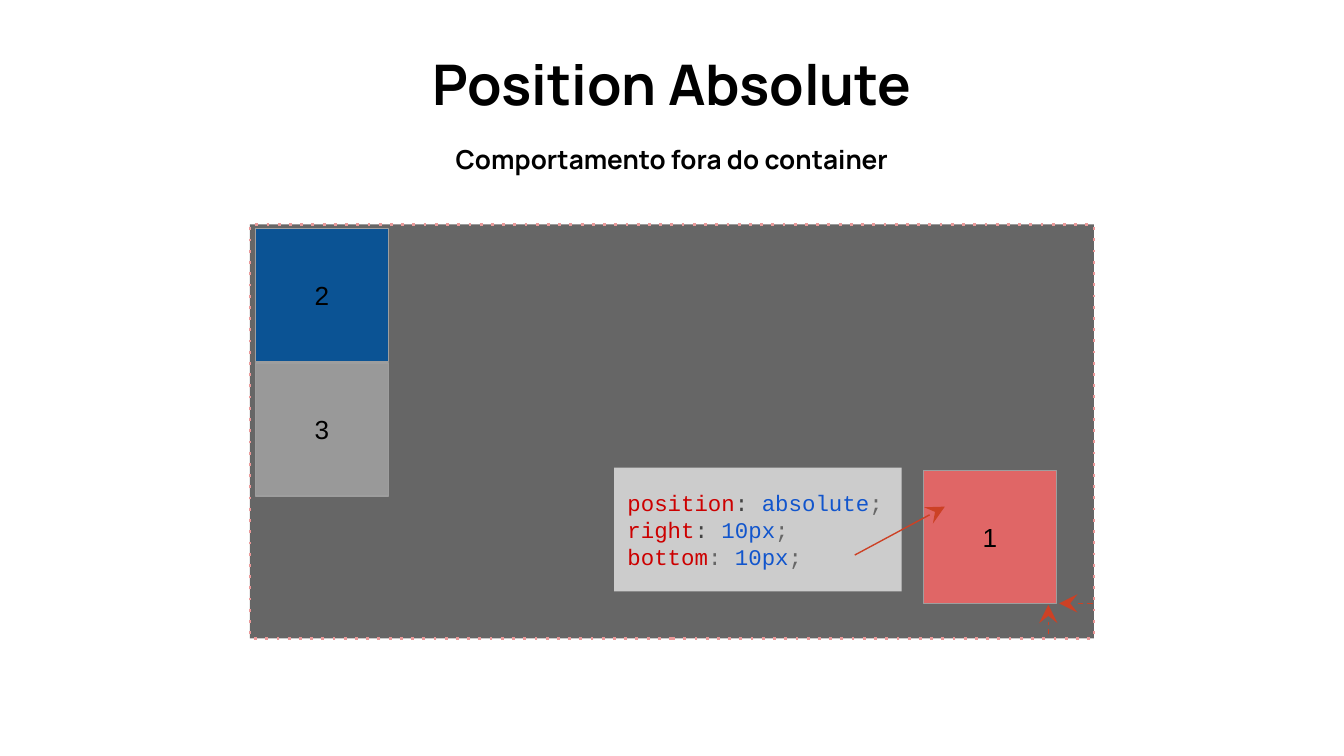
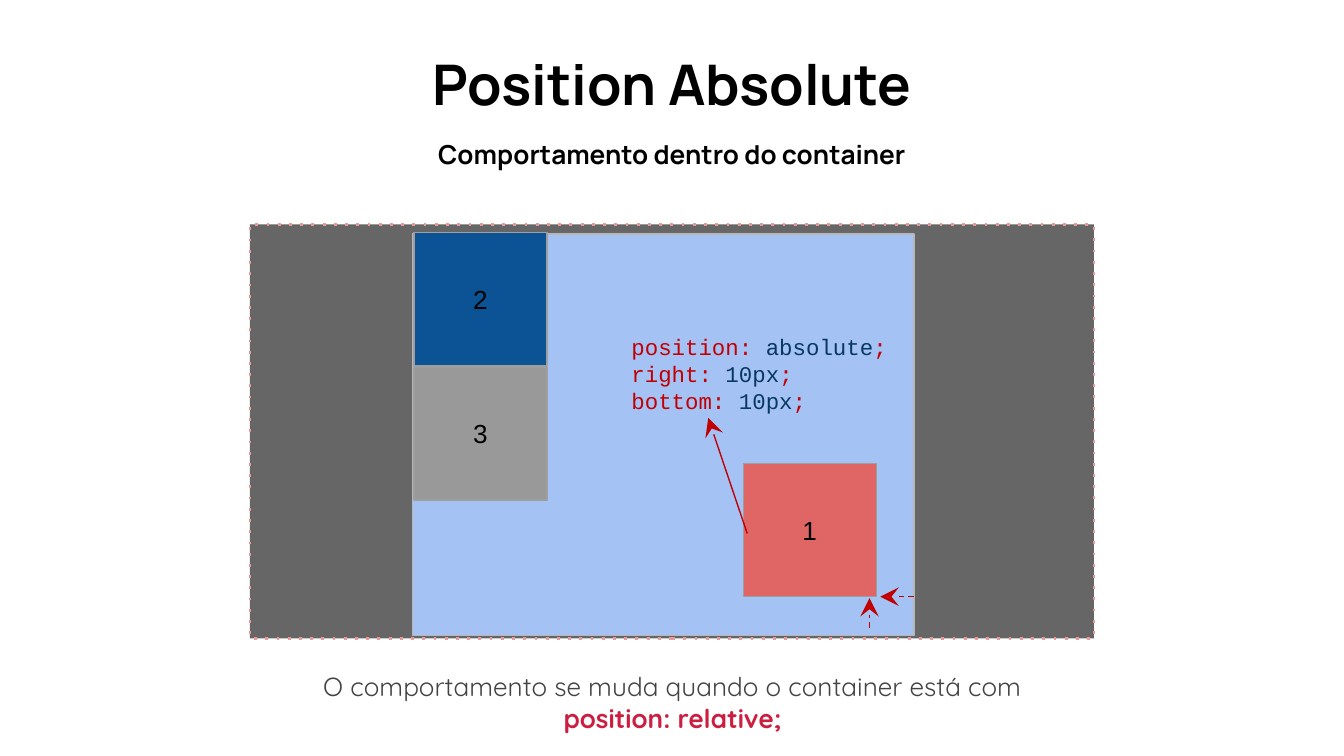
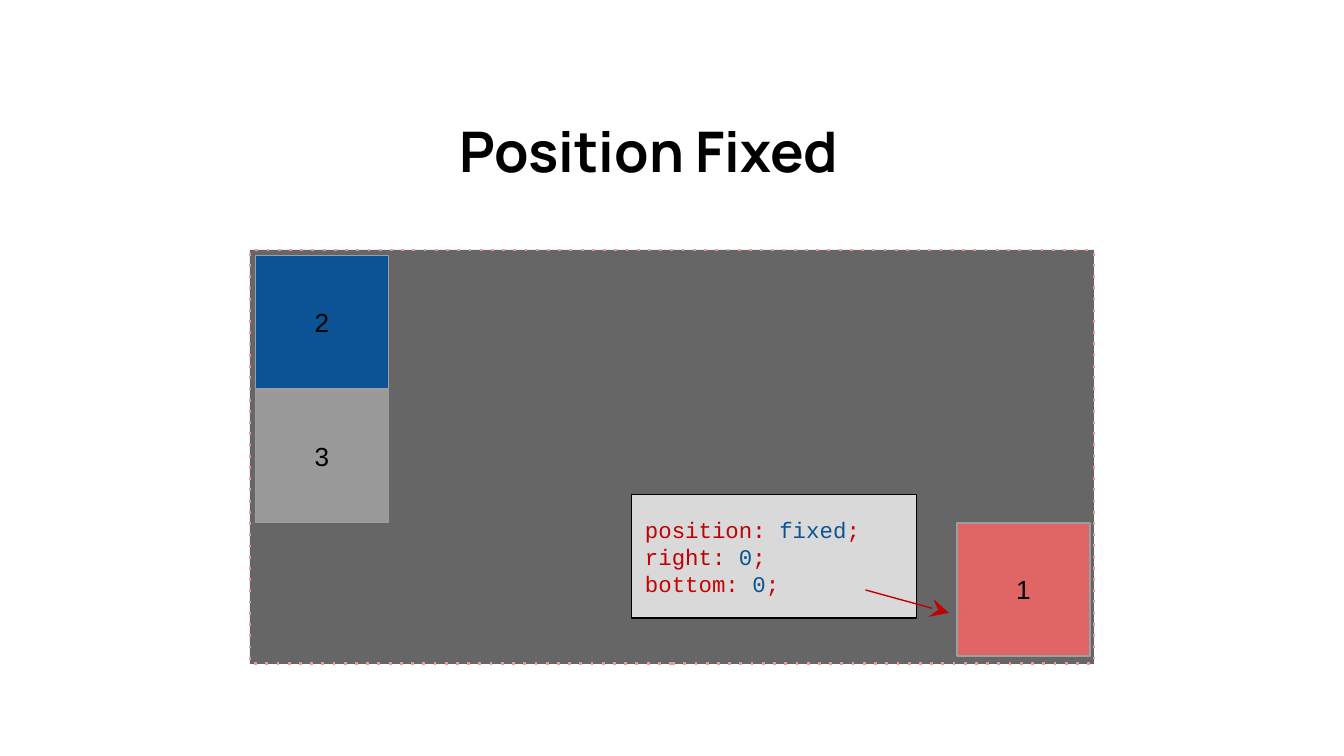
from lxml import etree
from pptx import Presentation
from pptx.dml.color import RGBColor
from pptx.enum.shapes import MSO_CONNECTOR, MSO_SHAPE
from pptx.enum.text import MSO_ANCHOR, PP_ALIGN
from pptx.oxml.ns import qn
from pptx.util import Pt

PX = 9144  # EMU in one px, 100 px to the inch
RECT, LINE = MSO_SHAPE.RECTANGLE, MSO_CONNECTOR.STRAIGHT
LEFT, MID = PP_ALIGN.LEFT, PP_ALIGN.CENTER
TOP, CENTER = MSO_ANCHOR.TOP, MSO_ANCHOR.MIDDLE

BLACK = RGBColor(0x00, 0x00, 0x00)
DARK = RGBColor(0x43, 0x43, 0x43)
GRAY = RGBColor(0x66, 0x66, 0x66)
MIST = RGBColor(0x99, 0x99, 0x99)
EDGE = RGBColor(0x9E, 0x9E, 0x9E)
RIM = RGBColor(0xB7, 0xB7, 0xB7)
SILVER = RGBColor(0xCC, 0xCC, 0xCC)
PALE = RGBColor(0xD9, 0xD9, 0xD9)
PINK = RGBColor(0xEA, 0x99, 0x99)
CORAL = RGBColor(0xE0, 0x66, 0x66)
BLUE = RGBColor(0x0B, 0x53, 0x94)
SKY = RGBColor(0xA4, 0xC2, 0xF4)
ROYAL = RGBColor(0x11, 0x55, 0xCC)
NAVY = RGBColor(0x07, 0x37, 0x63)
RED = RGBColor(0xCC, 0x00, 0x00)
BLOOD = RGBColor(0xC1, 0x00, 0x03)
RUST = RGBColor(0xCC, 0x41, 0x25)
ROSE = RGBColor(0xCB, 0x1E, 0x40)

SIDE, STEP = 99, 100  # numbered box and the pitch of the stack
FRAME = (628, 308)

# Places are (left, top) or (left, top, width, height);
# code is lines of (text, colour); arrows are (tail, tip, dashed)
SLIDES = [
    dict(title="Position Absolute", head=(42, 27),
         sub="Comportamento fora do container", sub_top=97,
         frame=(186, 167), stack=(190, 170), one=(687, 350),
         area=(457, 348, 214, 92), fill=SILVER,
         code=[[("position", RED), (": ", DARK), ("absolute", ROYAL), (";", GRAY)],
               [("right", RED), (": ", DARK), ("10px", ROYAL), (";", GRAY)],
               [("bottom", RED), (": ", GRAY), ("10px", ROYAL), (";", GRAY)]],
         ink=RUST,
         arrows=[((636, 413), (703, 377), False),
                 ((813, 449), (788, 449), True),
                 ((780, 472), (780, 450), True)]),
    dict(title="Position Absolute", head=(42, 27),
         sub="Comportamento dentro do container", sub_top=93,
         frame=(186, 167), panel=(307, 174, 373, 299),
         stack=(308, 173), one=(553, 345),
         area=(460, 232, 220, 92),
         code=[[("position: ", BLOOD), ("absolute", NAVY), (";", BLOOD)],
               [("right: ", BLOOD), ("10px", NAVY), (";", BLOOD)],
               [("bottom: ", BLOOD), ("10px", NAVY), (";", BLOOD)]],
         ink=BLOOD,
         arrows=[((556, 397), (527, 311), False),
                 ((680, 444), (655, 444), True),
                 ((647, 467), (647, 445), True)],
         note=[("O comportamento se muda quando o container está com ", DARK),
               ("position: relative;", ROSE, True)]),
    dict(title="Position Fixed", head=(25, 77),
         frame=(186, 186), stack=(190, 190), one=(712, 389),
         area=(470, 368, 212, 92), fill=PALE, rim=BLACK,
         code=[[("position: ", BLOOD), ("fixed", BLUE), (";", RED)],
               [("right: ", BLOOD), ("0", BLUE), (";", BLOOD)],
               [("bottom: ", RED), ("0", BLUE), (";", BLOOD)]],
         ink=BLOOD,
         arrows=[((644, 439), (706, 456), False)]),
]


def emu(*nums):
    return [n * PX for n in nums]


def style(line, tag, **attrs):
    """Add a dash or arrowhead element to a line that has its colour."""
    etree.SubElement(line._get_or_add_ln(), qn(tag), **attrs)


def write(shape, lines, font="Arial", size=14, bold=False, align=MID,
          anchor=TOP, pitch=None):
    """Fill a shape with lines of (text, colour[, bold]) runs."""
    frame = shape.text_frame
    frame.word_wrap = True
    frame.vertical_anchor = anchor
    frame.margin_left = frame.margin_right = 10 * PX
    frame.margin_top = frame.margin_bottom = 10 * PX
    for i, line in enumerate(lines):
        para = frame.add_paragraph() if i else frame.paragraphs[0]
        para.alignment = align
        if pitch:
            para.line_spacing = Pt(pitch)
        for text, color, *heavy in line:
            run = para.add_run()
            run.text = text
            run.font.name, run.font.size = font, Pt(size)
            run.font.bold = bold or bool(heavy)
            run.font.color.rgb = color


def label(slide, area, lines, **form):
    write(slide.shapes.add_textbox(*emu(*area)), lines, **form)


def block(slide, area, fill=None, rim=None, width=0.75):
    shape = slide.shapes.add_shape(RECT, *emu(*area))
    shape.shadow.inherit = False
    if fill is None:
        shape.fill.background()
    else:
        shape.fill.solid()
        shape.fill.fore_color.rgb = fill
    if rim is None:
        shape.line.fill.background()
    else:
        shape.line.color.rgb = rim
        shape.line.width = Pt(width)
    return shape


def square(slide, spot, text, fill):
    box = block(slide, (*spot, SIDE, SIDE), fill, EDGE)
    write(box, [[(text, BLACK)]], anchor=CENTER)


def arrow(slide, tail, tip, dashed, ink):
    wire = slide.shapes.add_connector(LINE, *emu(*tail, *tip))
    wire.line.color.rgb = ink
    wire.line.width = Pt(0.75)
    if dashed:
        style(wire.line, "a:prstDash", val="dash")
    style(wire.line, "a:tailEnd", type="stealth", w="lg", len="lg")
    etree.SubElement(wire._element.spPr, qn("a:effectLst"))


def build(slide, data):
    # Headings
    label(slide, (*data["head"], 916, 70), [[(data["title"], BLACK)]],
          font="Manrope", size=30, bold=True)
    if "sub" in data:
        label(slide, (303, data["sub_top"], 394, 39), [[(data["sub"], BLACK)]],
              font="Manrope", bold=True)

    # Page frame and inner container
    page = block(slide, (*data["frame"], *FRAME), GRAY, PINK, 1.5)
    style(page.line, "a:prstDash", val="dot")
    if "panel" in data:
        block(slide, data["panel"], SKY, RIM)

    # Numbered boxes
    square(slide, data["one"], "1", CORAL)
    left, top = data["stack"]
    for i, (text, fill) in enumerate([("2", BLUE), ("3", MIST)]):
        square(slide, (left, top + i * STEP), text, fill)

    # Code and arrows
    form = dict(font="Courier New", size=12, align=LEFT, anchor=CENTER,
                pitch=14.5)
    if "fill" in data:
        card = block(slide, data["area"], data["fill"], data.get("rim"))
        write(card, data["code"], **form)
    else:
        label(slide, data["area"], data["code"], **form)
    for tail, tip, dashed in data["arrows"]:
        arrow(slide, tail, tip, dashed, data["ink"])

    # Closing note
    if "note" in data:
        label(slide, (205, 489, 591, 39), [data["note"]], font="Quicksand")


def main():
    deck = Presentation()
    deck.slide_width = 1000 * PX
    deck.slide_height = deck.slide_width * 9 // 16
    for data in SLIDES:
        build(deck.slides.add_slide(deck.slide_layouts[6]), data)
    deck.save("out.pptx")


if __name__ == "__main__":
    main()
